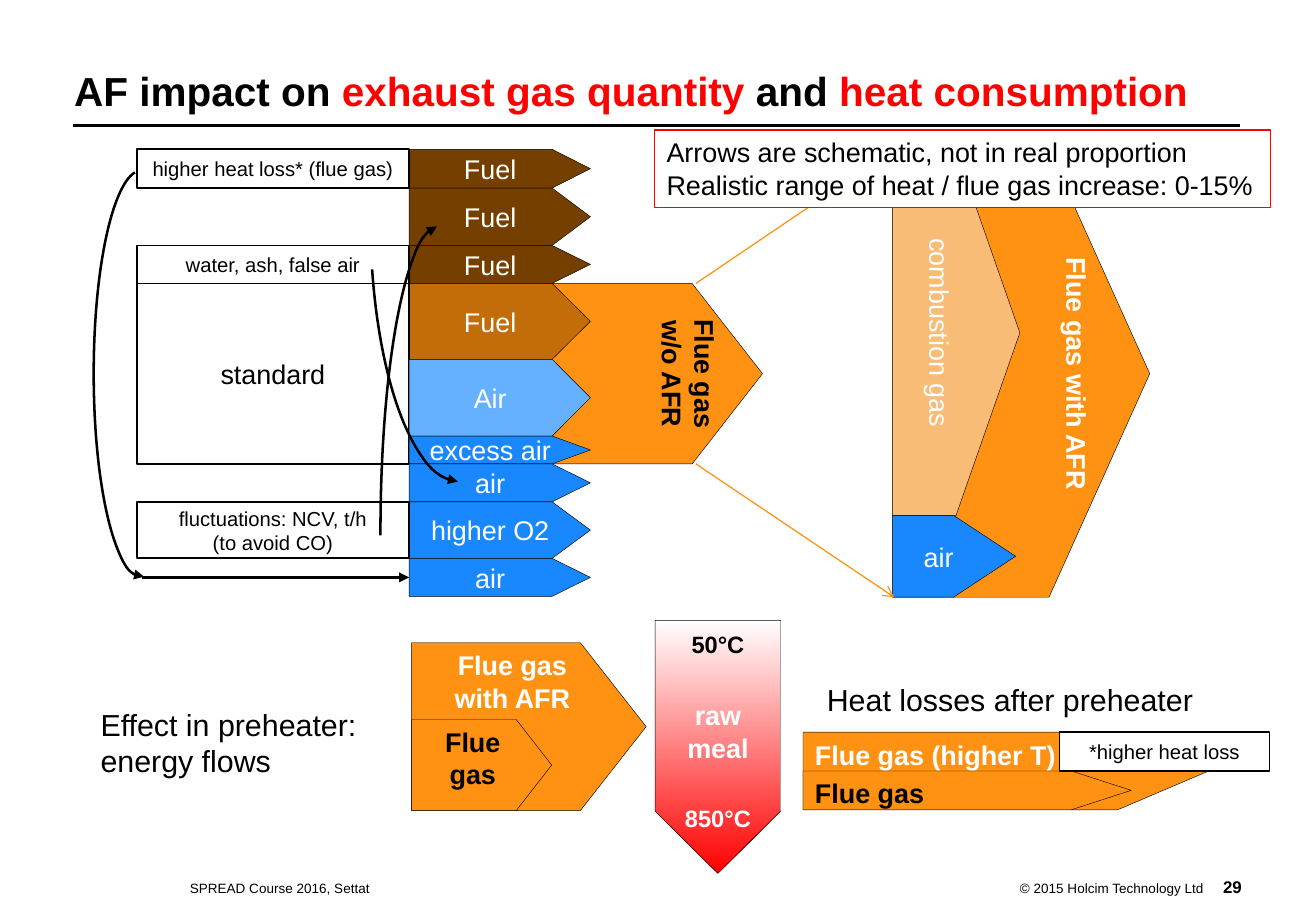
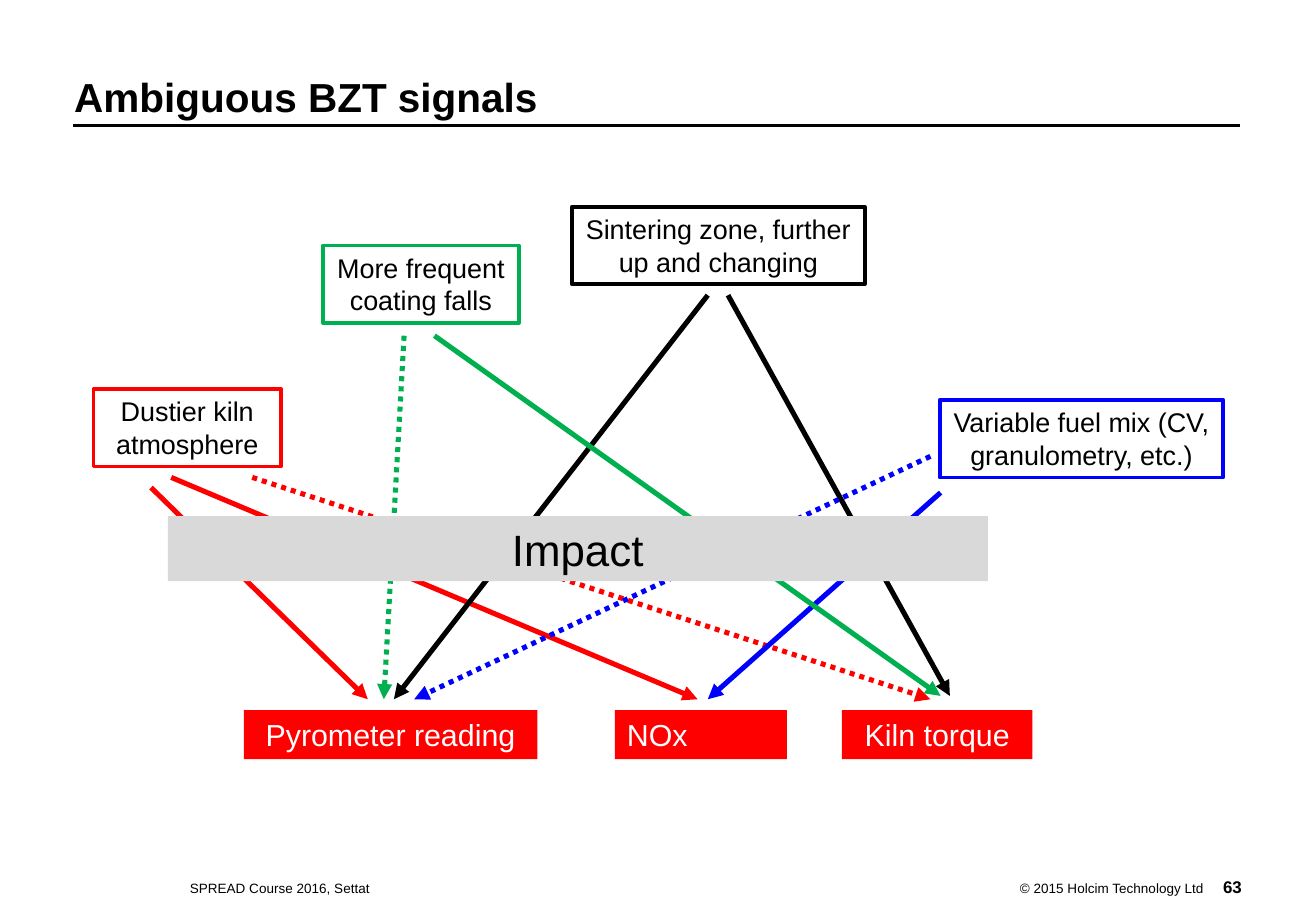
from lxml.etree import SubElement
from pptx import Presentation
from pptx.dml.color import RGBColor
from pptx.enum.dml import MSO_LINE
from pptx.enum.shapes import MSO_CONNECTOR, MSO_SHAPE
from pptx.enum.text import MSO_ANCHOR, PP_ALIGN
from pptx.oxml.ns import qn
from pptx.util import Pt

INK = {
    "black": "000000", "white": "FFFFFF", "red": "FF0000", "blue": "0000FF",
    "green": "00B050", "grey": "D9D9D9", "orange": "FF9213", "peach": "F8BC77",
    "dark": "753F00", "brown": "C26C0A", "sky": "65B0FF", "azure": "1988FF",
}
RGB = {name: RGBColor.from_string(code) for name, code in INK.items()}
ALIGN = {"l": PP_ALIGN.LEFT, "c": PP_ALIGN.CENTER, "r": PP_ALIGN.RIGHT}
ANCHOR = {"t": MSO_ANCHOR.TOP, "m": MSO_ANCHOR.MIDDLE, "b": MSO_ANCHOR.BOTTOM}
PLATE, RECT = MSO_SHAPE.PENTAGON, MSO_SHAPE.RECTANGLE


def stroke(shape, ink=None, width=1, dash=None, head=None):
    """Set outline, dash and end arrowhead, and drop the shadow."""
    props = shape._element.spPr
    if ink:
        shape.line.color.rgb = RGB[ink]
        shape.line.width = Pt(width)
        if dash:
            shape.line.dash_style = dash
        if head:
            SubElement(props.find(qn("a:ln")), qn("a:tailEnd"), type=head)
    else:
        shape.line.fill.background()
    SubElement(props, qn("a:effectLst"))


def put(slide, text, at, kind=None, fill=None, edge=None, width=0.25, tip=None,
        size=16, bold=False, ink="black", align="l", anchor="t", turn=None,
        inset=(7.2, 3.6), gap=0):
    """Add a text box, or a shape of the given kind, with formatted text.

    text is a string or a list of paragraphs; a paragraph is a string or a
    list of (words, ink, size) runs. tip is the length of an arrow's point.
    """
    box = [Pt(v) for v in at]
    if kind is None:
        shape = slide.shapes.add_textbox(*box)
    else:
        shape = slide.shapes.add_shape(kind, *box)
    if tip:
        shape.adjustments[0] = tip / min(at[2:])
    if fill:
        shape.fill.solid()
        shape.fill.fore_color.rgb = RGB[fill]
    else:
        shape.fill.background()
    stroke(shape, edge, width)

    frame = shape.text_frame
    frame.word_wrap = True
    frame.vertical_anchor = ANCHOR[anchor]
    frame.margin_left = frame.margin_right = Pt(inset[0])
    frame.margin_top = frame.margin_bottom = Pt(inset[1])
    if turn:
        frame._txBody.bodyPr.set("vert", turn)
    for n, part in enumerate([text] if isinstance(text, str) else text):
        para = frame.add_paragraph() if n else frame.paragraphs[0]
        para.alignment = ALIGN[align]
        if n and gap:
            para.space_before = Pt(gap)
        for words, hue, points in [(part, ink, size)] if isinstance(part, str) else part:
            run = para.add_run()
            run.text = words
            run.font.name = "Arial"
            run.font.size = Pt(points)
            run.font.bold = bold
            run.font.color.rgb = RGB[hue]
    return shape


prs = Presentation()
prs.slide_width, prs.slide_height = Pt(780), Pt(540)

# Shared title, rule and footer
titles = [
    ([[("AF impact on ", "black", 24), ("exhaust gas quantity ", "red", 24),
       ("and ", "black", 24), ("heat consumption", "red", 24)]], 35.5, "29"),
    ("Ambiguous BZT signals", 39, "63"),
]
slides = []
for title, top, page in titles:
    slide = prs.slides.add_slide(prs.slide_layouts[6])
    slides.append(slide)
    put(slide, title, (44, top, 691, 36), size=24, bold=True, anchor="m", inset=(0, 0))
    rule = slide.shapes.add_connector(
        MSO_CONNECTOR.STRAIGHT, Pt(43.5), Pt(74.5), Pt(735), Pt(74.5))
    stroke(rule, "black", 1.75)
    put(slide, "SPREAD Course 2016, Settat", (112.5, 522, 278, 9.5),
        size=8, anchor="b", inset=(0, 0))
    put(slide, "© 2015 Holcim Technology Ltd", (576, 522, 137.5, 9.5),
        size=8, align="r", anchor="b", inset=(0, 0))
    put(slide, page, (718.5, 519, 17.5, 11.5), size=10, bold=True, align="r", inset=(0, 0.7))
flow, signal = slides

# Slide 1: gas arrows behind the stack
hot = dict(kind=PLATE, fill="orange", edge="black", bold=True)
mid = dict(kind=PLATE, edge="black", ink="white", align="c", anchor="m")
put(flow, "Flue gas (higher T)", (476, 434, 240.5, 46), tip=54, ink="white", **hot)
put(flow, ["Flue gas", "with AFR"], (244, 381, 139, 99.5), tip=39,
    ink="white", align="c", **hot)
put(flow, ["Flue gas", "w/o AFR"], (327.5, 168, 124.5, 107), tip=41.7,
    align="c", turn="vert", **hot)

meal = put(flow, [[("50°C", "black", 14)], "raw meal", [("850°C", "white", 14)]],
           (350.5, 405.5, 150, 74.5), tip=37, bold=True, turn="vert270", gap=24, **mid)
meal.rotation = 90
meal.fill.gradient()
meal.fill.gradient_angle = 180
for stop, hue in zip(meal.fill.gradient_stops, ("red", "white")):
    stop.color.rgb = RGB[hue]

# Stack of inputs: name, fill, height, label, label height
stack = [
    ("Fuel", "dark", 23, "higher heat loss* (flue gas)", 23),
    ("Fuel", "dark", 34, None, 0),
    ("Fuel", "dark", 22.5, "water, ash, false air", 22.5),
    ("Fuel", "brown", 45, "standard", 107),
    ("Air", "sky", 45.5, None, 0),
    ("excess air", "azure", 16.5, None, 0),
    ("air", "azure", 22.5, None, 0),
    ("higher O2", "azure", 33.5, ["fluctuations: NCV, t/h", "(to avoid CO)"], 33.5),
    ("air", "azure", 22.5, None, 0),
]
top = 88.5
for name, hue, high, label, span in stack:
    last = put(flow, name, (242.5, top, 107.5, high), fill=hue, tip=22.7, **mid)
    if label:
        put(flow, label, (81, top, 161.5, span), kind=RECT, edge="black", width=1,
            size=16 if label == "standard" else 12, align="c", anchor="m")
    top += high

# Flue gas with alternative fuel
put(flow, "Flue gas with AFR", (529, 89, 152.5, 265), tip=59.7, ink="white",
    align="c", turn="vert", **hot)
put(flow, "air", (529, 305.5, 73, 48.5), fill="azure", tip=36.8, **mid)
put(flow, "combustion gas", (529, 89, 75.5, 216.5), fill="peach", tip=37.8,
    turn="vert", **mid)

# Curved arrows: place, rotation, flips, angles
arcs = [
    ((225.5, 134, 70, 363.5), 0, ("flipH", "flipV"), (214.37, 53.71)),
    ((-36.5, 193, 241, 57), 270, ("flipV",), (1.17, 108.39)),
    ((219.5, -29, 106.5, 314.5), 0, ("flipH",), (18.66, 53.71)),
]
for at, turn, flips, angles in arcs:
    arc = flow.shapes.add_shape(MSO_SHAPE.ARC, *[Pt(v) for v in at])
    arc.rotation = turn
    arc.adjustments[0], arc.adjustments[1] = angles
    for flip in flips:
        arc._element.spPr.xfrm.set(flip, "1")
    arc.fill.background()
    stroke(arc, "black", 1.5, head="triangle")

# Straight arrows
lines = [
    ((412.5, 168, 530, 88.5), "orange", 0.75, "arrow"),
    ((412.5, 275, 530, 354), "orange", 0.75, "arrow"),
    ((84, 342.25, 242.5, 342.25), "black", 1.5, "triangle"),
]
for ends, hue, width, head in lines:
    link = flow.shapes.add_connector(MSO_CONNECTOR.STRAIGHT, *[Pt(v) for v in ends])
    stroke(link, hue, width, head=head)
link.end_connect(last, 1)

# Preheater and heat losses
put(flow, "Flue gas", (244, 426.5, 83, 54), tip=21, align="c", **hot)
put(flow, "Flue gas", (476, 457, 194.5, 23), tip=35.5, **hot)
put(flow, ["Effect in preheater:", "energy flows"], (52.5, 415, 187, 51), size=18)
put(flow, "Heat losses after preheater", (483, 400, 258.5, 29), size=18)
put(flow, "*higher heat loss", (628, 434, 124.5, 23), kind=RECT, fill="white",
    edge="black", width=1, size=12, align="c", anchor="m")
put(flow, ["Arrows are schematic, not in real proportion",
           "Realistic range of heat / flue gas increase: 0-15%"],
    (388, 77, 365, 46), kind=RECT, fill="white", edge="red", width=0.75)

# Slide 2: causes
causes = [
    ("More frequent coating falls", (191.5, 145.5, 116, 46), "green"),
    ("Sintering zone, further up and changing", (339, 122.5, 173.5, 46), "black"),
    ("Variable fuel mix (CV, granulometry, etc.)", (557, 237, 168, 46), "blue"),
    ("Dustier kiln atmosphere", (55.5, 230.5, 111, 46), "red"),
]
for words, at, hue in causes:
    put(signal, words, at, kind=RECT, edge=hue, width=2.25, align="c")

readings = [
    ("Pyrometer reading", 144.5, 174, "c"),
    ("NOx", 364.5, 102, "l"),
    ("Kiln torque", 499, 113, "c"),
]
for words, left, wide, align in readings:
    put(signal, words, (left, 421, wide, 29), kind=RECT, fill="red", size=18,
        ink="white", align=align)

dot = MSO_LINE.ROUND_DOT
paths = [
    ((89.5, 289, 218, 414.5), "red", None),
    ((101.5, 283, 413.5, 414.5), "red", None),
    ((149.5, 283, 551.5, 414.5), "red", dot),
    ((419.5, 175, 233.5, 414.5), "black", None),
    ((431.5, 175, 563, 412.5), "black", None),
    ((557.5, 292, 419.5, 414.5), "blue", None),
    ((239.5, 199, 227.5, 414.5), "green", dot),
    ((257.5, 199, 557.5, 412.5), "green", None),
    ((551.5, 270.5, 245.5, 414.5), "blue", dot),
]
for ends, hue, dash in paths:
    link = signal.shapes.add_connector(MSO_CONNECTOR.STRAIGHT, *[Pt(v) for v in ends])
    stroke(link, hue, 3, dash, "triangle")

put(signal, "Impact", (99.5, 306, 486, 38.5), kind=RECT, fill="grey", size=26, align="c")

prs.save("out.pptx")
